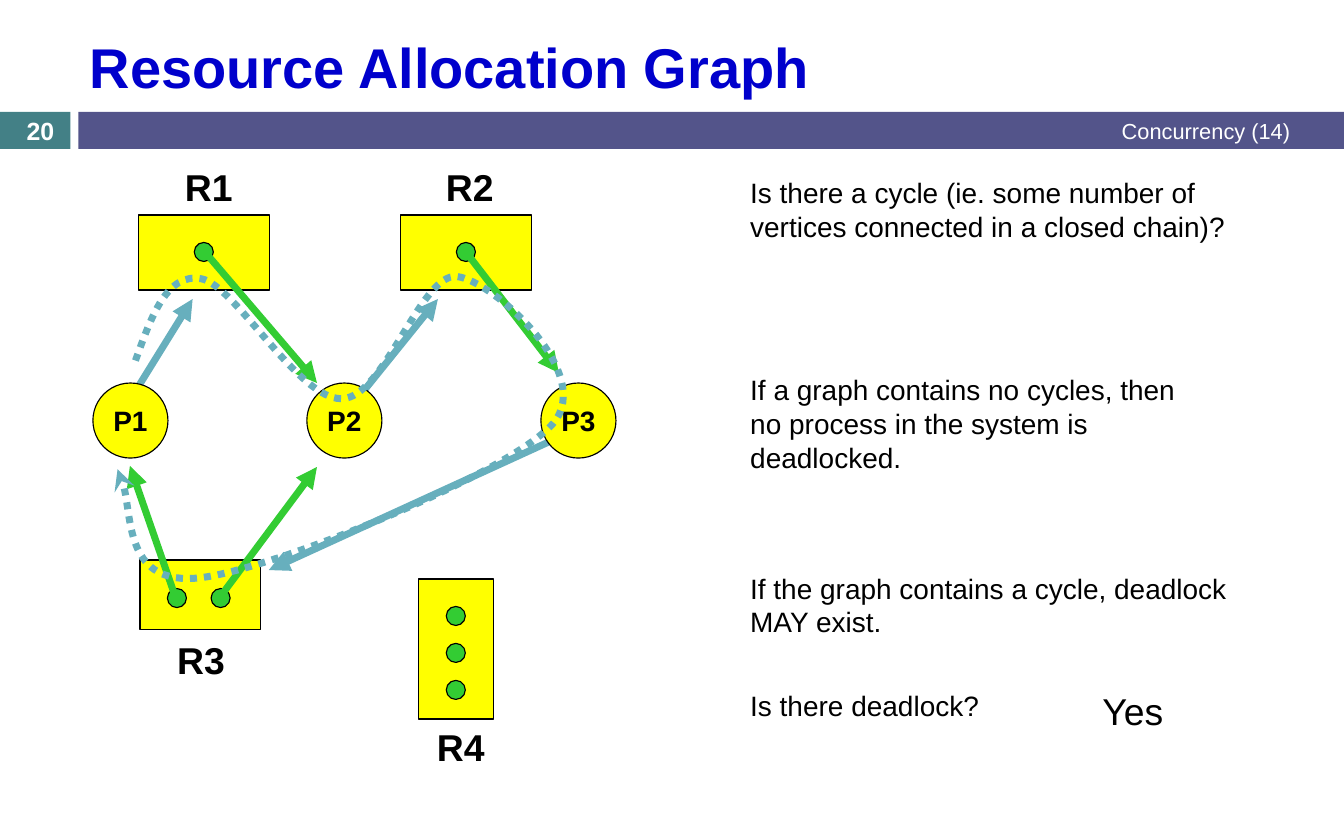
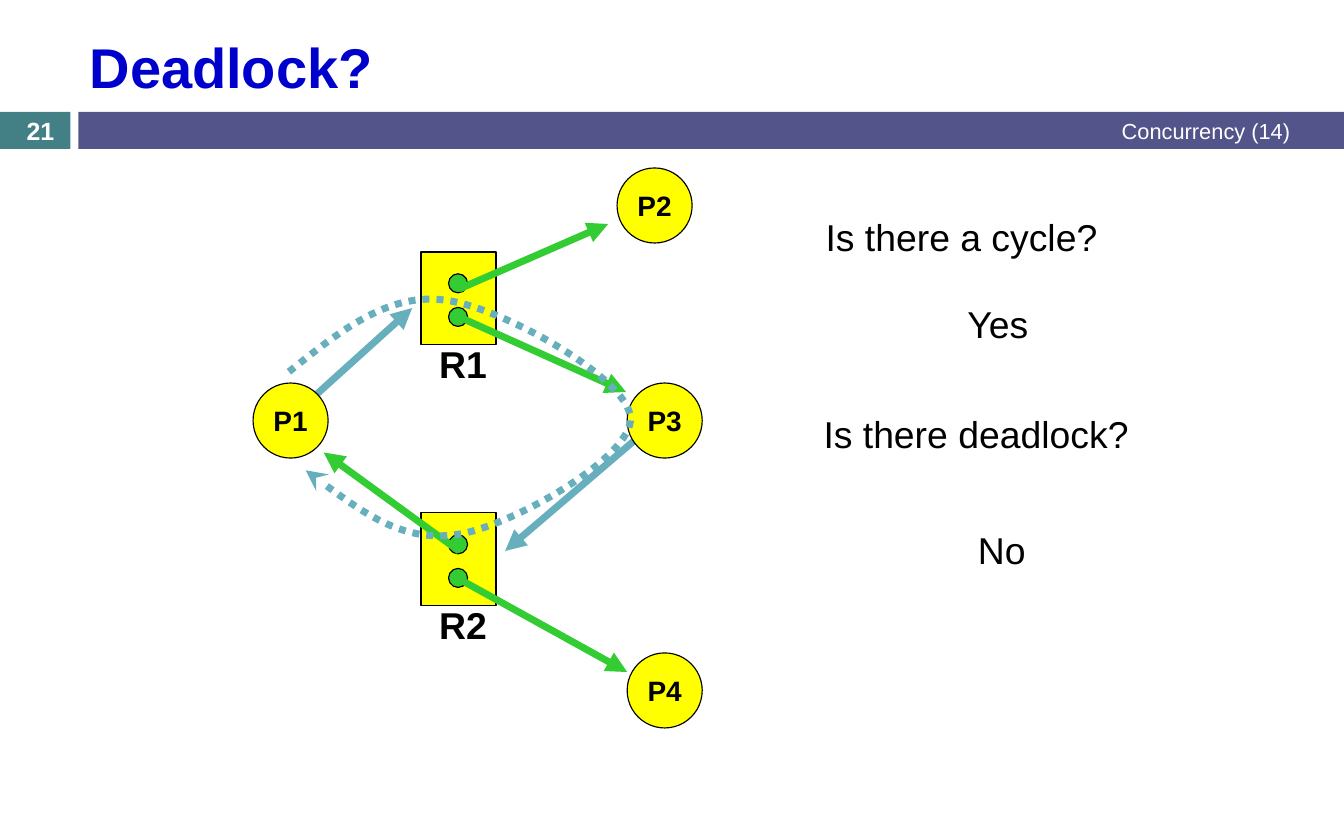
from pptx import Presentation
from pptx.dml.color import RGBColor
from pptx.enum import dml, shapes, text
from pptx.oxml import ns, xmlchemy
from pptx.util import Inches, Pt

FONT = "Arial"
COLORS = {
    "title": "0000CC", "number": "438086", "band": "53548A", "node": "FFFF00",
    "hold": "33CC33", "request": "67AFBD", "ink": "000000", "paper": "FFFFFF",
}
NODE, DOT = 0.67, 0.17
LABEL = (0.63, 0.5)
LEFT, CENTER, RIGHT = text.PP_ALIGN.LEFT, text.PP_ALIGN.CENTER, text.PP_ALIGN.RIGHT
TOP, MIDDLE = text.MSO_ANCHOR.TOP, text.MSO_ANCHOR.MIDDLE
RECT, OVAL = shapes.MSO_SHAPE.RECTANGLE, shapes.MSO_SHAPE.OVAL

# Lengths are relative to the top left corner of each region's box
ALLOCATION = {
    "box": (0.83, 1.42),
    "requests": [(4.17, 2.48, 1.57, 3.67), (0.4, 2.04, 0.89, 1.25),
                 (2.41, 2.08, 3.08, 1.25)],
    "processes": {"P1": (0, 2), "P2": (1.91, 2), "P3": (4, 2)},
    # name: (box, label corner, dot centres inside the box)
    "resources": {
        "R1": ((0.41, 0.5, 1.17, 0.67), (0.72, 0), [(0.58, 0.33)]),
        "R2": ((2.75, 0.5, 1.17, 0.67), (3.05, 0), [(0.58, 0.33)]),
        "R3": ((0.42, 3.58, 1.08, 0.62), (0.65, 4.22), [(0.33, 0.34), (0.72, 0.34)]),
        "R4": ((2.91, 3.75, 0.67, 1.25), (2.97, 5),
               [(0.33, 0.33 * step) for step in (1, 2, 3)]),
    },
    "holds": [(1, 0.83, 2, 2), (3.33, 0.83, 4.16, 1.91),
              (1.12, 3.93, 2, 2.75), (0.75, 3.95, 0.33, 2.74)],
    # start, then two control points and an end for each curve
    "cycle": [(0.38, 1.8),
              (0.52, 1.41), (0.66, 1.01), (0.97, 1.07),
              (1.27, 1.13), (1.84, 2.15), (2.22, 2.14),
              (2.6, 2.14), (2.93, 1.01), (3.25, 1.05),
              (3.56, 1.08), (4.49, 1.91), (4.11, 2.36),
              (3.72, 2.81), (1.6, 3.67), (0.95, 3.74),
              (0.3, 3.81), (0.34, 2.93), (0.22, 2.77)],
}
TWO_DOTS = [(0.33, 0.28), (0.33, 0.58)]
DEADLOCK = {
    "box": (2.26, 1.5),
    "requests": [(0.39, 2.18, 1.42, 1.25), (3.42, 2.42, 2.25, 3.42)],
    "processes": {"P1": (0, 1.92), "P2": (3.25, 0), "P3": (3.34, 1.92),
                  "P4": (3.34, 4.33)},
    "resources": {
        "R1": ((1.5, 0.75, 0.67, 0.83), (1.56, 1.5), TWO_DOTS),
        "R2": ((1.5, 3.08, 0.67, 0.83), (1.56, 3.83), TWO_DOTS),
    },
    "holds": [(1.84, 3.42, 0.63, 2.54), (1.84, 3.67, 3.34, 4.5),
              (1.84, 1.08, 3.17, 0.5), (1.84, 1.33, 3.33, 2)],
    "cycle": [(0.32, 1.82),
              (0.76, 1.47), (1.2, 1.11), (1.71, 1.18),
              (2.22, 1.24), (3.35, 1.88), (3.37, 2.23),
              (3.39, 2.58), (2.32, 3.19), (1.84, 3.27),
              (1.35, 3.35), (0.91, 3.03), (0.47, 2.7)],
}
STATEMENTS = [
    (0, 4.56, 0.71, "Is there a cycle (ie. some number of vertices connected in a closed chain)?"),
    (1.76, 4.18, 1.01, "If a graph contains no cycles, then no process in the system is deadlocked."),
    (3.53, 4.97, 0.71, "If the graph contains a cycle, deadlock MAY exist."),
    (4.58, 3.78, 0.4, "Is there deadlock?"),
]
QUESTIONS = [
    (0.02, 0, 2.63, "Is there a cycle?"), (1.27, 0.78, 0.78, "Yes"),
    (0, 1.76, 2.93, "Is there deadlock?"), (1.38, 2.8, 0.63, "No"),
]


def rgb(name):
    return RGBColor.from_string(COLORS[name])


def apply(target, **formats):
    for attribute, value in formats.items():
        setattr(target, attribute, value)


def shift(box, x, y):
    return box[0] + x, box[1] + y


def write(shape, words, size, color="ink", bold=False, align=CENTER,
          anchor=MIDDLE, wrap=False):
    frame = shape.text_frame
    apply(frame, text=words, word_wrap=wrap, vertical_anchor=anchor,
          auto_size=text.MSO_AUTO_SIZE.NONE)
    paragraph = frame.paragraphs[0]
    paragraph.alignment = align
    font = paragraph.runs[0].font
    apply(font, name=FONT, size=Pt(size), bold=bold)
    font.color.rgb = rgb(color)


def add_text(slide, box, words, size, **formats):
    write(slide.shapes.add_textbox(*map(Inches, box)), words, size, **formats)


def add_block(slide, kind, box, fill, outlined=True):
    block = slide.shapes.add_shape(kind, *map(Inches, box))
    block.shadow.inherit = False
    block.fill.solid()
    block.fill.fore_color.rgb = rgb(fill)
    if outlined:
        block.line.color.rgb = rgb("ink")
        block.line.width = Pt(0.75)
    else:
        block.line.fill.background()
    return block


def style_arrow(arrow, color, head):
    arrow.line.color.rgb = rgb(color)
    arrow.line.width = Pt(4.5)
    outline = arrow.line._get_or_add_ln()
    xmlchemy.OxmlElement("a:tailEnd")
    tail = outline.makeelement(ns.qn("a:tailEnd"), {"type": head})
    outline.append(tail)


def add_arrow(slide, box, ends, color):
    points = shift(box, *ends[:2]) + shift(box, *ends[2:])
    arrow = slide.shapes.add_connector(shapes.MSO_CONNECTOR.STRAIGHT, *map(Inches, points))
    style_arrow(arrow, color, "triangle")
    arrow._element.spPr.append(xmlchemy.OxmlElement("a:effectLst"))


def add_cycle(slide, box, points):
    start, *rest = [tuple(map(Inches, shift(box, *point))) for point in points]
    builder = slide.shapes.build_freeform(*start)
    builder.add_line_segments(rest, close=False)
    cycle = builder.convert_to_shape()
    cycle.shadow.inherit = False
    cycle.fill.background()
    cycle.line.dash_style = dml.MSO_LINE.ROUND_DOT
    style_arrow(cycle, "request", "stealth")
    # Join each three segments into one Bezier curve
    segments = list(cycle._element.iter(ns.qn("a:lnTo")))
    for first in range(0, len(segments), 3):
        curve = xmlchemy.OxmlElement("a:cubicBezTo")
        segments[first].addprevious(curve)
        for segment in segments[first:first + 3]:
            curve.append(segment[0])
            segment.getparent().remove(segment)


def draw_graph(slide, graph):
    box = graph["box"]
    for ends in graph["requests"]:
        add_arrow(slide, box, ends, "request")
    for name, corner in graph["processes"].items():
        process = add_block(slide, OVAL, (*shift(box, *corner), NODE, NODE), "node")
        write(process, name, 18, bold=True)
    for name, (area, label, dots) in graph["resources"].items():
        corner = shift(box, *area[:2])
        add_block(slide, RECT, (*corner, *area[2:]), "node")
        add_text(slide, (*shift(box, *label), *LABEL), name, 24, bold=True)
        for x, y in dots:
            place = shift(corner, x - DOT / 2, y - DOT / 2)
            add_block(slide, OVAL, (*place, DOT, DOT), "hold")
    for ends in graph["holds"]:
        add_arrow(slide, box, ends, "hold")
    add_cycle(slide, box, graph["cycle"])


def draw_statements(slide, box):
    for y, width, height, words in STATEMENTS:
        add_text(slide, (*shift(box, 0, y), width, height), words, 18,
                 align=LEFT, anchor=TOP, wrap=True)
    add_text(slide, (*shift(box, 3.14, 4.57), 0.75, 0.5), "Yes", 24)


def draw_questions(slide, box):
    for x, y, width, words in QUESTIONS:
        add_text(slide, (*shift(box, x, y), width, 0.5), words, 24)


def add_page(deck, title, number):
    slide = deck.slides.add_slide(deck.slide_layouts[5])
    # Title
    heading = slide.shapes.title
    apply(heading, left=Inches(0.7), top=Inches(0.19),
          width=Inches(10.91), height=Inches(0.8))
    write(heading, title, 36, color="title", bold=True, align=LEFT, wrap=True)
    # Bands with page number and chapter
    add_block(slide, RECT, (0, 1, 0.63, 0.33), "number", outlined=False)
    add_block(slide, RECT, (0.7, 1, 11.3, 0.33), "band", outlined=False)
    add_text(slide, (6.17, 1, 5.45, 0.33), "Concurrency (14)", 14,
             color="paper", align=RIGHT, wrap=True)
    add_text(slide, (0, 1.02, 0.72, 0.3), str(number), 16,
             color="paper", bold=True, wrap=True)
    return slide


def main():
    deck = Presentation()
    apply(deck, slide_width=Inches(12), slide_height=Inches(7.5))

    allocation = add_page(deck, "Resource Allocation Graph", 20)
    draw_graph(allocation, ALLOCATION)
    draw_statements(allocation, (6.6, 1.52))

    deadlock = add_page(deck, "Deadlock?", 21)
    draw_graph(deadlock, DEADLOCK)
    draw_questions(deadlock, (7.25, 1.86))

    deck.save("out.pptx")


if __name__ == "__main__":
    main()
